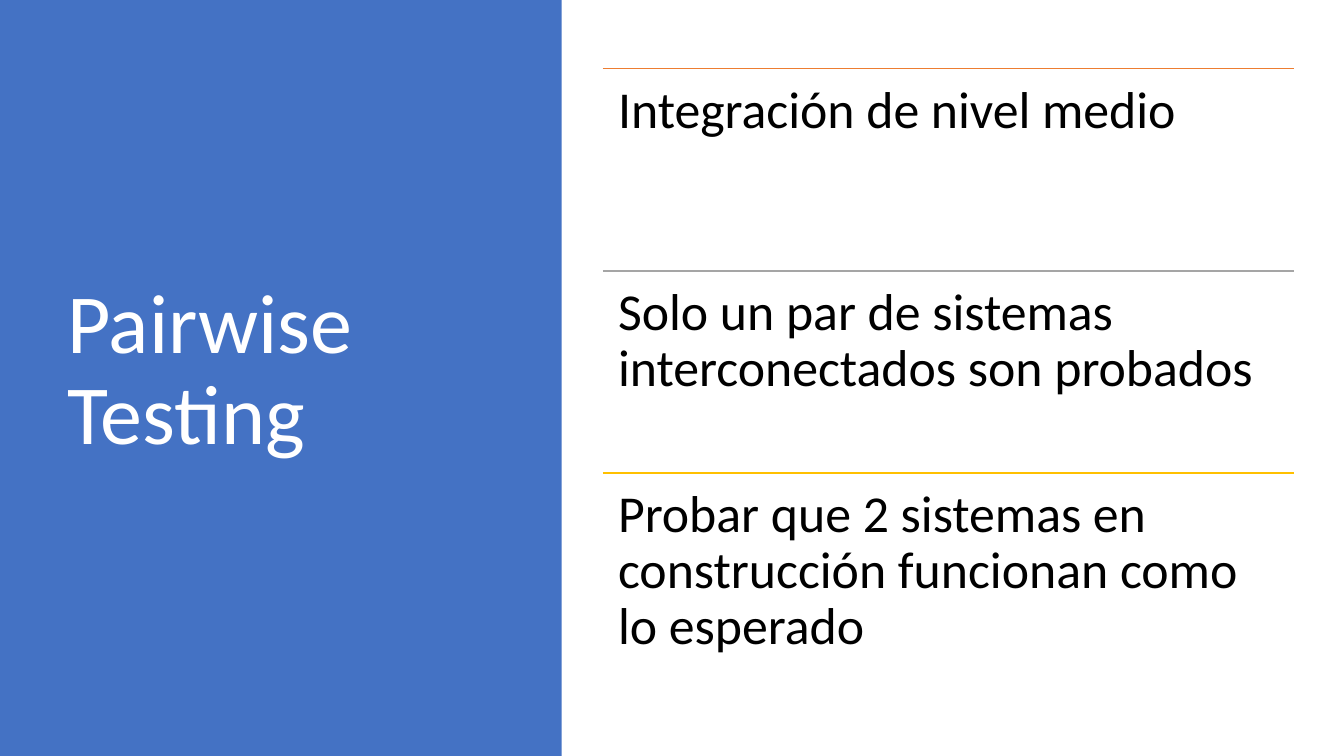
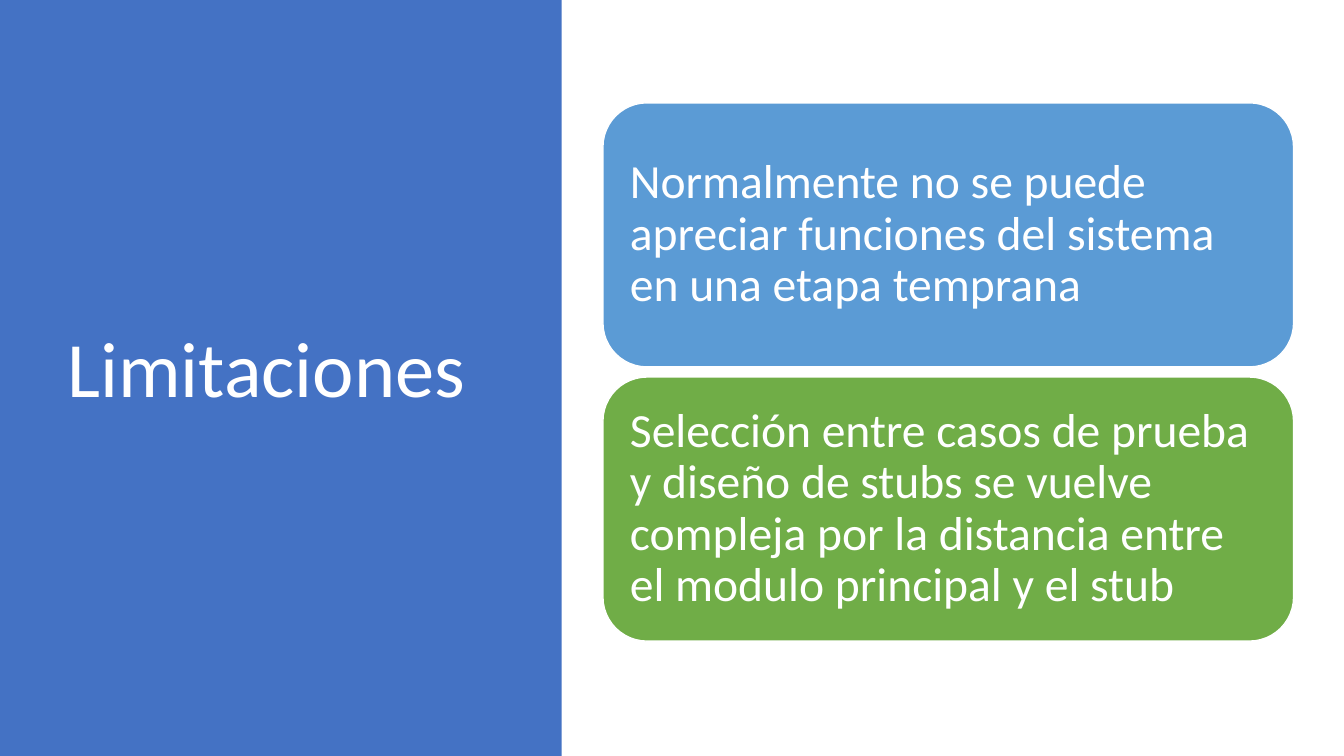
"""Build two Spanish slides on pairwise testing, each with a blue title band."""
import pptx
import pptx.dml.color
import pptx.enum.shapes
import pptx.enum.text
import pptx.oxml.ns
import pptx.util
import lxml.etree

COLORS = {
    "band": "4472C4", "white": "FFFFFF", "black": "000000",
    "orange": "ED7D31", "gray": "A5A5A5", "yellow": "FFC000",
    "blue": "5B9BD5", "green": "70AD47",
}
FONT = "Calibri"
SLIDE_WIDTH, SLIDE_HEIGHT = 13.33, 7.5
BAND_WIDTH = 5.57
TITLE_LEFT, TITLE_WIDTH = 0.57, 4.16
CONTENT_LEFT, CONTENT_WIDTH = 5.98, 6.85
CONTENT_TOP, CONTENT_HEIGHT = 0.68, 6.02
CARD_HEIGHT, CARD_GAP = 2.62, 0.1

RULED_TITLE = "Pairwise Testing"
RULED_ITEMS = [
    ("Integración de nivel medio", "orange"),
    ("Solo un par de sistemas interconectados son probados", "gray"),
    ("Probar que 2 sistemas en construcción funcionan como lo esperado", "yellow"),
]
CARD_TITLE = "Limitaciones"
CARD_ITEMS = [
    ("Normalmente no se puede apreciar funciones del sistema en una etapa temprana", "blue"),
    ("Selección entre casos de prueba y diseño de stubs se vuelve compleja "
     "por la distancia entre el modulo principal y el stub", "green"),
]


def inches(*lengths):
    return [pptx.util.Inches(length) for length in lengths]


def color(name):
    return pptx.dml.color.RGBColor.from_string(COLORS[name])


def write_text(shape, text, size, color_name="white", inset=0.1, middle=True):
    frame = shape.text_frame
    frame.word_wrap = True
    anchors = pptx.enum.text.MSO_ANCHOR
    frame.vertical_anchor = anchors.MIDDLE if middle else anchors.TOP
    frame.margin_left = frame.margin_right = pptx.util.Inches(inset)
    frame.margin_top = frame.margin_bottom = pptx.util.Inches(inset)
    paragraph = frame.paragraphs[0]
    paragraph.alignment = pptx.enum.text.PP_ALIGN.LEFT
    paragraph.line_spacing = 0.9
    run = paragraph.add_run()
    run.text = text
    run.font.name = FONT
    run.font.size = pptx.util.Pt(size)
    run.font.color.rgb = color(color_name)


def add_filled_shape(slide, kind, box, fill, line=None):
    shape = slide.shapes.add_shape(kind, *inches(*box))
    shape.shadow.inherit = False
    shape.fill.solid()
    shape.fill.fore_color.rgb = color(fill)
    if line:
        shape.line.color.rgb = color(line)
        shape.line.width = pptx.util.Pt(1)
    else:
        shape.line.fill.background()
    return shape


def add_rule(slide, top, color_name):
    rule = slide.shapes.add_connector(
        pptx.enum.shapes.MSO_CONNECTOR.STRAIGHT,
        *inches(CONTENT_LEFT, top, CONTENT_LEFT + CONTENT_WIDTH, top))
    rule.line.color.rgb = color(color_name)
    rule.line.width = pptx.util.Pt(1)
    lxml.etree.SubElement(rule.element.spPr, pptx.oxml.ns.qn("a:effectLst"))


def add_titled_slide(presentation, title, size):
    slide = presentation.slides.add_slide(presentation.slide_layouts[6])
    add_filled_shape(slide, pptx.enum.shapes.MSO_SHAPE.RECTANGLE,
                     (0, 0, BAND_WIDTH, SLIDE_HEIGHT), "band")
    title_box = slide.shapes.add_textbox(
        *inches(TITLE_LEFT, CONTENT_TOP, TITLE_WIDTH, CONTENT_HEIGHT))
    write_text(title_box, title, size)
    return slide


def add_ruled_list(slide, items):
    row_height = CONTENT_HEIGHT / len(items)
    for index, (text, color_name) in enumerate(items):
        top = CONTENT_TOP + index * row_height
        add_rule(slide, top, color_name)
        row = slide.shapes.add_textbox(
            *inches(CONTENT_LEFT, top, CONTENT_WIDTH, row_height))
        write_text(row, text, 37, "black", inset=0.15, middle=False)


def add_cards(slide, items):
    stack_height = len(items) * (CARD_HEIGHT + CARD_GAP) - CARD_GAP
    first_top = CONTENT_TOP + (CONTENT_HEIGHT - stack_height) / 2
    for index, (text, color_name) in enumerate(items):
        top = first_top + index * (CARD_HEIGHT + CARD_GAP)
        card = add_filled_shape(slide, pptx.enum.shapes.MSO_SHAPE.ROUNDED_RECTANGLE,
                                (CONTENT_LEFT, top, CONTENT_WIDTH, CARD_HEIGHT),
                                color_name, line="white")
        write_text(card, text, 34, inset=0.14)


def main():
    presentation = pptx.Presentation()
    presentation.slide_width, presentation.slide_height = inches(SLIDE_WIDTH, SLIDE_HEIGHT)
    add_ruled_list(add_titled_slide(presentation, RULED_TITLE, 60), RULED_ITEMS)
    add_cards(add_titled_slide(presentation, CARD_TITLE, 56), CARD_ITEMS)
    presentation.save("out.pptx")


if __name__ == "__main__":
    main()
